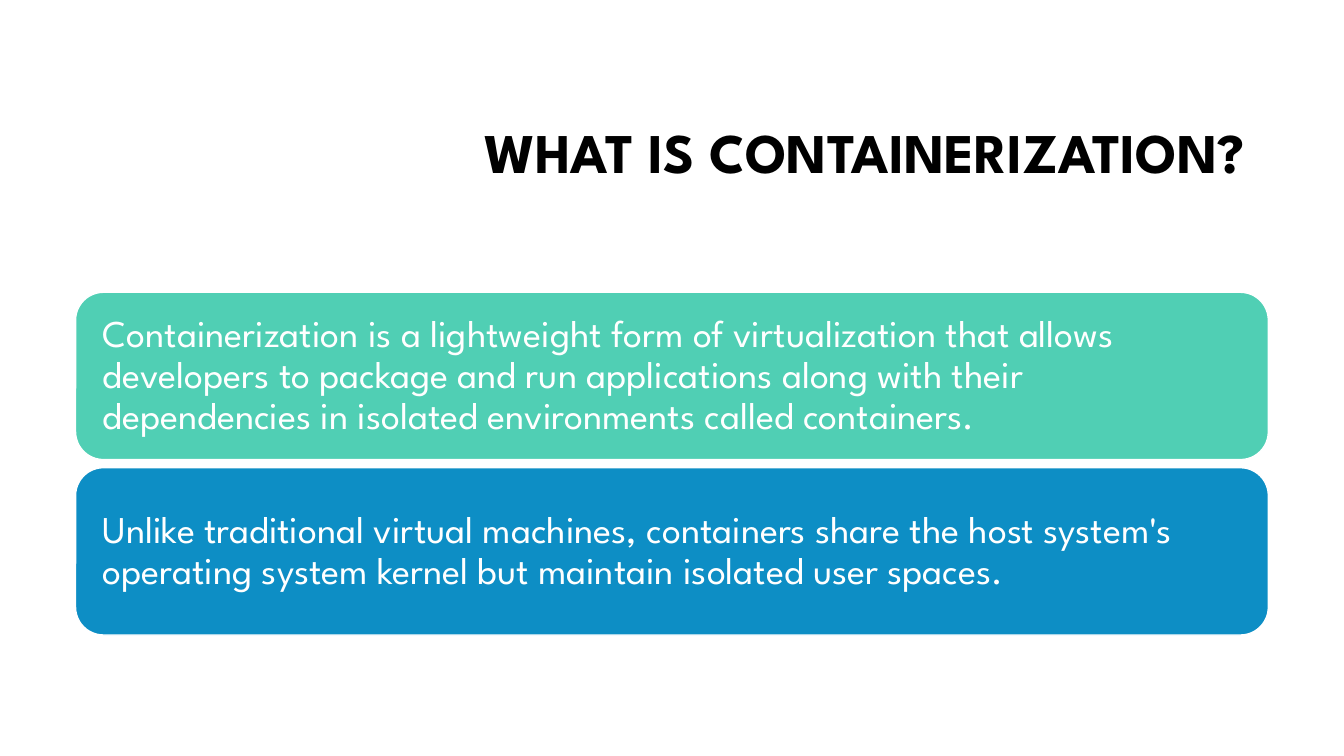
from pptx import Presentation
from pptx.dml.color import RGBColor
from pptx.enum.shapes import MSO_SHAPE as Shape
from pptx.enum.text import MSO_ANCHOR as Anchor, PP_ALIGN as Align
from pptx.util import Inches, Pt

SLIDE_WIDTH, SLIDE_HEIGHT = 13.33, 7.5
COLORS = {"title": "000000", "text": "FFFFFF", "edge": "FFFFFF",
          "green": "50CFB4", "blue": "0D8EC5"}
FONT = "League Spartan"
TITLE_BOX = (3.17, 0.84, 9.42, 1.41)
CARDS_BOX = (0.75, 2.9, 11.83, 3.4)
CARD_GAP = 0.08
CARD_INSET = 0.19

TITLE = "WHAT IS CONTAINERIZATION? "
CARDS = [
    ("green", "Containerization is a lightweight form of virtualization that "
              "allows developers to package and run applications along with "
              "their dependencies in isolated environments called containers."),
    ("blue", "Unlike traditional virtual machines, containers share the host "
             "system's operating system kernel but maintain isolated user "
             "spaces."),
]


def color(name):
    return RGBColor.from_string(COLORS[name])


def inches(box):
    return [Inches(length) for length in box]


def write_text(shape, text, color_name, size, align, bold=False):
    frame = shape.text_frame
    frame.word_wrap = True
    frame.vertical_anchor = Anchor.MIDDLE
    paragraph = frame.paragraphs[0]
    paragraph.alignment = align
    paragraph.line_spacing = 0.9
    run = paragraph.add_run()
    run.text = text
    font_values = {"name": FONT, "size": Pt(size), "bold": bold}
    for attribute, value in font_values.items():
        setattr(run.font, attribute, value)
    run.font.color.rgb = color(color_name)


def add_title(slide, box, text):
    title = slide.shapes.add_textbox(*inches(box))
    write_text(title, text, "title", 40, Align.RIGHT, bold=True)


def add_cards(slide, box, cards):
    """Stack equal rounded cards down the box."""
    left, top, width, height = box
    card_height = (height - CARD_GAP * (len(cards) - 1)) / len(cards)
    for row, (fill_name, text) in enumerate(cards):
        card_top = top + row * (card_height + CARD_GAP)
        card = slide.shapes.add_shape(
            Shape.ROUNDED_RECTANGLE, *inches((left, card_top, width, card_height)))
        card.shadow.inherit = False
        card.fill.solid()
        card.fill.fore_color.rgb = color(fill_name)
        card.line.color.rgb = color("edge")
        card.line.width = Pt(1)
        for side in ("left", "top", "right", "bottom"):
            setattr(card.text_frame, f"margin_{side}", Inches(CARD_INSET))
        write_text(card, text, "text", 27, Align.LEFT)


def main():
    presentation = Presentation()
    presentation.slide_width = Inches(SLIDE_WIDTH)
    presentation.slide_height = Inches(SLIDE_HEIGHT)
    slide = presentation.slides.add_slide(presentation.slide_layouts[6])
    add_title(slide, TITLE_BOX, TITLE)
    add_cards(slide, CARDS_BOX, CARDS)
    presentation.save("out.pptx")


if __name__ == "__main__":
    main()
